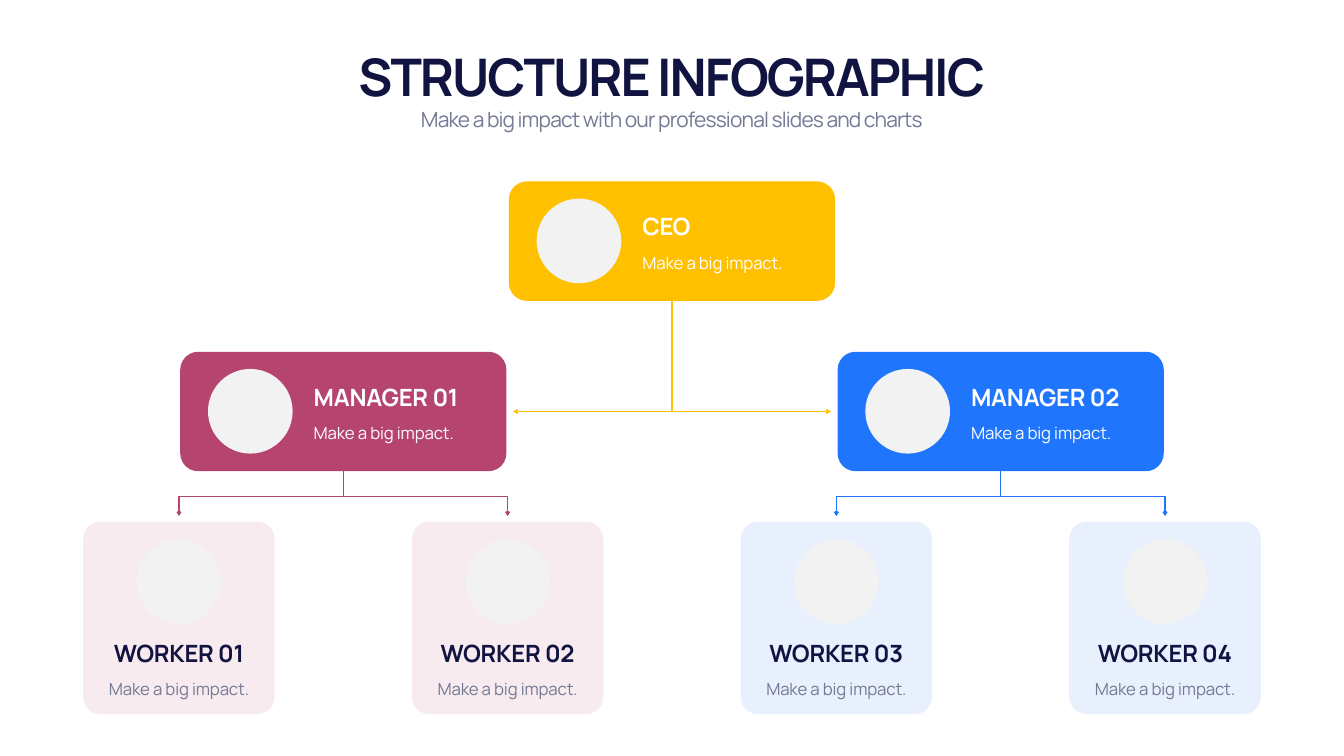
from lxml import etree
from pptx import Presentation
from pptx import util as u
from pptx.dml.color import RGBColor
from pptx.enum import shapes, text
from pptx.oxml import ns

SCALE = 9144
FONT = "Manrope"
NAVY, GREY, WHITE, PALE = "111340", "747994", "FFFFFF", "F2F2F2"
GOLD, ROSE, BLUE = "FFC000", "B5446E", "2075FD"
LEADER_WIDTH, LEADER_HEIGHT, LEADER_TOP = 647, 237, 698
WORKER_WIDTH, WORKER_HEIGHT, WORKER_TOP = 380, 382, 1035
FIRST_CENTER, PITCH = 355, 652
PORTRAIT = 168
TAGLINE = "Make a big impact."
LEFT, CENTER = text.PP_ALIGN.LEFT, text.PP_ALIGN.CENTER
TOP, BOTTOM = text.MSO_ANCHOR.TOP, text.MSO_ANCHOR.BOTTOM


def px(*lengths):
    return [u.Emu(round(length * SCALE)) for length in lengths]


def color(value):
    return RGBColor.from_string(value)


def add_filled(page, kind, box, fill, opacity=100):
    shape = page.shapes.add_shape(kind, *px(*box))
    shape.shadow.inherit = False
    shape.fill.solid()
    shape.fill.fore_color.rgb = color(fill)
    shape.line.fill.background()
    if opacity < 100:
        tint = shape.fill._xPr.find(".//" + ns.qn("a:srgbClr"))
        etree.SubElement(tint, ns.qn("a:alpha"), val=str(opacity * 1000))
    return shape


def add_text(page, box, words, size, fill, spacing, align, anchor=TOP, bold=False, leading=None):
    frame = page.shapes.add_textbox(*px(*box)).text_frame
    frame.word_wrap = True
    frame.auto_size = text.MSO_AUTO_SIZE.SHAPE_TO_FIT_TEXT
    frame.vertical_anchor = anchor
    para = frame.paragraphs[0]
    para.alignment = align
    if leading:
        para.line_spacing = u.Pt(leading)
    span = para.add_run()
    span.text = words
    span.font.name = FONT
    span.font.size = u.Pt(size)
    span.font.bold = bold
    span.font.color.rgb = color(fill)
    span._r.get_or_add_rPr().set("spc", str(spacing))


def style_line(line, fill, arrows=False):
    line.color.rgb = color(fill)
    line.width = u.Pt(2)
    if arrows:
        for end in ("a:headEnd", "a:tailEnd"):
            etree.SubElement(line._get_or_add_ln(), ns.qn(end), type="arrow")


def add_line(parent, start, end, fill, arrows=False):
    line = parent.shapes.add_connector(shapes.MSO_CONNECTOR.STRAIGHT, *px(*start, *end))
    style_line(line.line, fill, arrows)
    etree.SubElement(line._element.spPr, ns.qn("a:effectLst"))
    return line


def add_card(page, box, fill, corner, opacity=100):
    card = add_filled(page, shapes.MSO_SHAPE.ROUNDED_RECTANGLE, box, fill, opacity)
    card.adjustments[0] = corner
    return card


def add_labels(page, left, top, width, name, name_fill, tagline_fill, align):
    add_text(page, (left, top, width, 67), name, 34, name_fill, -30, align, BOTTOM, bold=True)
    add_text(page, (left, top + 71, width, 58), TAGLINE, 24, tagline_fill, -20, align, leading=36)


def add_header(page, left, top, width):
    add_text(page, (left, top, width, 135), "STRUCTURE INFOGRAPHIC",
             74, NAVY, -290, CENTER, BOTTOM, bold=True)
    add_text(page, (left, top + 125, width, 61),
             "Make a big impact with our professional slides and charts", 30, GREY, -120, CENTER)


def add_leader(page, center, top, name, fill):
    left = center - LEADER_WIDTH / 2
    card = add_card(page, (left, top, LEADER_WIDTH, LEADER_HEIGHT), fill, 0.15)
    add_filled(page, shapes.MSO_SHAPE.OVAL, (left + 55, top + 34, PORTRAIT, PORTRAIT), PALE)
    add_labels(page, left + 255, top + 55, 356, name, WHITE, WHITE, LEFT)
    return card


def add_worker(page, center, top, name, fill):
    left = center - WORKER_WIDTH / 2
    add_card(page, (left, top, WORKER_WIDTH, WORKER_HEIGHT), fill, 0.09, opacity=10)
    add_filled(page, shapes.MSO_SHAPE.OVAL,
               (center - PORTRAIT / 2, top + 35, PORTRAIT, PORTRAIT), PALE)
    add_labels(page, left + 15, top + 226, WORKER_WIDTH - 30, name, NAVY, GREY, CENTER)


def add_fork(page, manager, center, top, fill):
    group = page.shapes.add_group_shape()
    bar = top + 50
    stem = add_line(group, (center, top), (center, bar), fill)
    stem.begin_connect(manager, 2)
    left, right = center - PITCH / 2, center + PITCH / 2
    builder = group.shapes.build_freeform(left, bar + 39, scale=SCALE)
    builder.add_line_segments([(left, bar), (right, bar), (right, bar + 39)], close=False)
    fork = builder.convert_to_shape()
    fork.shadow.inherit = False
    fork.fill.background()
    style_line(fork.line, fill, arrows=True)


def add_team(page, index, fill):
    first = 2 * index
    worker_centers = [FIRST_CENTER + PITCH * (first + step) for step in range(2)]
    center = sum(worker_centers) / 2
    manager = add_leader(page, center, LEADER_TOP, f"MANAGER {index + 1:02d}", fill)
    for number, worker_center in enumerate(worker_centers, first + 1):
        add_worker(page, worker_center, WORKER_TOP, f"WORKER {number:02d}", fill)
    add_fork(page, manager, center, LEADER_TOP + LEADER_HEIGHT, fill)


def add_top_level(page, center, top):
    ceo = add_leader(page, center, top, "CEO", GOLD)
    level = LEADER_TOP + LEADER_HEIGHT / 2
    add_line(page, (center - 315, level), (center + 315, level), GOLD, arrows=True)
    stem = add_line(page, (center, top + LEADER_HEIGHT), (center, level), GOLD)
    stem.begin_connect(ceo, 2)


def main():
    deck = Presentation()
    deck.slide_width, deck.slide_height = px(2666, 1500)
    page = deck.slides.add_slide(deck.slide_layouts[6])
    add_header(page, 166, 82, 2333)
    add_top_level(page, FIRST_CENTER + 1.5 * PITCH, 360)
    for index, fill in enumerate((ROSE, BLUE)):
        add_team(page, index, fill)
    deck.save("out.pptx")


if __name__ == "__main__":
    main()
